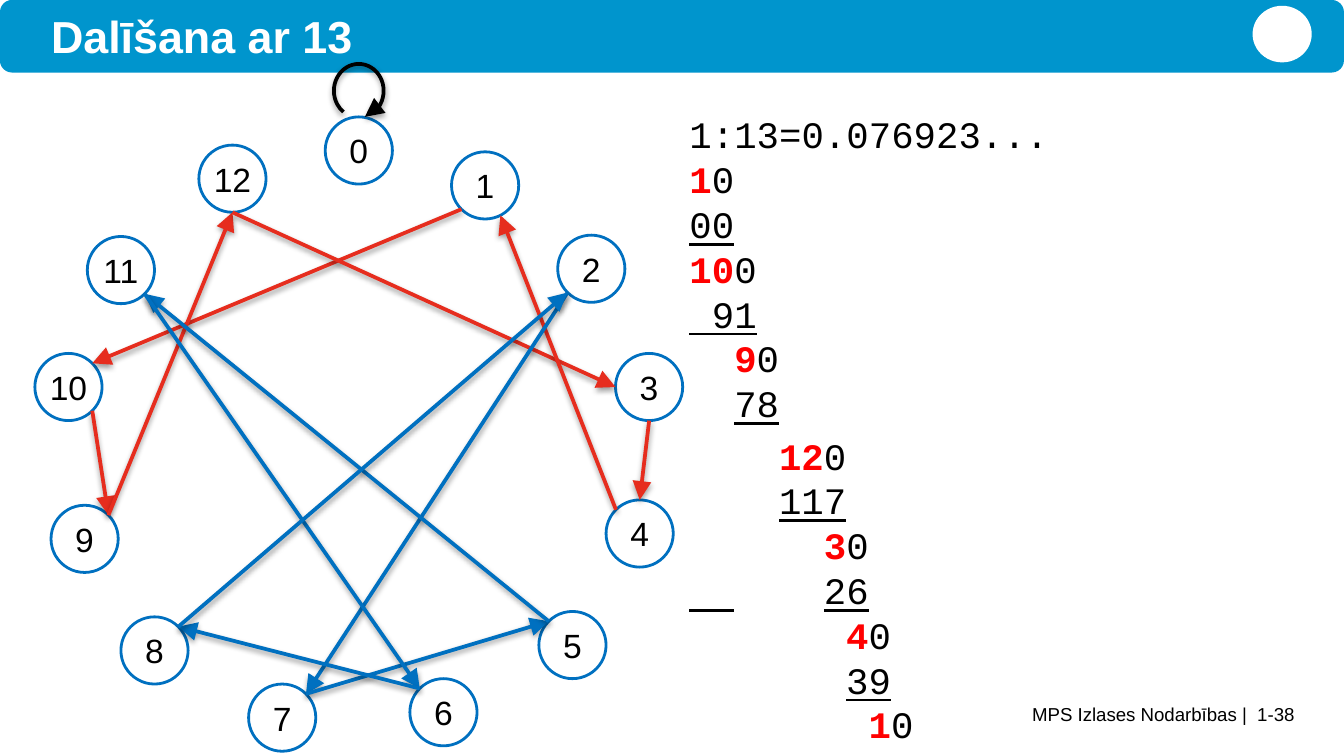
from dataclasses import dataclass
from math import cos, radians, sin

from lxml import etree
from pptx import Presentation
from pptx.dml.color import RGBColor
from pptx.enum.shapes import MSO_CONNECTOR, MSO_SHAPE
from pptx.enum.text import MSO_ANCHOR, PP_ALIGN
from pptx.oxml.ns import qn
from pptx.util import Inches, Pt

STRAIGHT = MSO_CONNECTOR.STRAIGHT
ARC, OVAL, ROUNDED = MSO_SHAPE.ARC, MSO_SHAPE.OVAL, MSO_SHAPE.ROUNDED_RECTANGLE
TOP, MIDDLE = MSO_ANCHOR.TOP, MSO_ANCHOR.MIDDLE
LEFT, CENTER, RIGHT = PP_ALIGN.LEFT, PP_ALIGN.CENTER, PP_ALIGN.RIGHT

BLACK, WHITE, HEADER_BLUE = "000000", "FFFFFF", "0095CD"
BLUE, CYCLE_RED, DIGIT_RED = "0070C0", "E62D1E", "FF0000"
SANS, MONO = "Arial", "Courier New"

DIGIT_SIZE = 20
COLUMN_POINTS = 12  # width of one monospaced character

# Node centres, in percent of the diagram box, for remainders 0 to 12
NODE_CENTRES = [
    (48.4, 12.4), (67.2, 17.6), (83, 30), (91.6, 47.6), (90.2, 69.4),
    (80.2, 86), (61, 96), (37, 96.8), (18, 86.8), (7.6, 70.2),
    (5.2, 47.6), (13, 30.2), (29.6, 16.6),
]
NODE_RADIUS = 5

# Angles on a node's rim, clockwise from the right
LOWER_RIGHT, BOTTOM, LOWER_LEFT, MIDDLE_LEFT = 45, 90, 135, 180
UPPER_LEFT, UPPER, UPPER_RIGHT = 225, 270, 315

# Each arrow: from node, angle, to node, angle
RED_CYCLE = [
    (1, LOWER_LEFT, 10, UPPER_RIGHT), (10, LOWER_RIGHT, 9, UPPER_RIGHT),
    (9, UPPER_RIGHT, 12, BOTTOM), (12, BOTTOM, 3, MIDDLE_LEFT),
    (3, BOTTOM, 4, UPPER), (4, UPPER_LEFT, 1, 63),
]
BLUE_CYCLE = [
    (2, LOWER_LEFT, 7, UPPER_RIGHT), (7, UPPER_RIGHT, 5, UPPER_LEFT),
    (5, UPPER_LEFT, 11, LOWER_RIGHT), (11, LOWER_RIGHT, 6, UPPER_LEFT),
    (6, UPPER_LEFT, 8, UPPER_RIGHT), (8, UPPER_RIGHT, 2, LOWER_LEFT),
]

PLAIN, REMAINDER, UNDERLINED, GAP = "plain", "remainder", "underlined", "gap"
GAP_COLUMNS = 4
# Each line: start column, runs
DIVISION_LINES = [
    (0, [("1:13=0.076923...", PLAIN)]),
    (0, [("1", REMAINDER), ("0", PLAIN)]),
    (0, [("00", UNDERLINED)]),
    (0, [("10", REMAINDER), ("0", PLAIN)]),
    (0, [(" 91", UNDERLINED)]),
    (2, [("9", REMAINDER), ("0", PLAIN)]),
    (2, [("78", UNDERLINED)]),
    (4, [("12", REMAINDER), ("0", PLAIN)]),
    (4, [("117", UNDERLINED)]),
    (6, [("3", REMAINDER), ("0", PLAIN)]),
    (0, [("  ", UNDERLINED), (" ", GAP), ("26", UNDERLINED)]),
    (7, [("4", REMAINDER), ("0", PLAIN)]),
    (7, [("39", UNDERLINED)]),
    (8, [("1", REMAINDER), ("0", PLAIN)]),
]
SPACE_BEFORE = {0: 2.5, 7: 4}  # points, by line number


@dataclass
class Box:
    left: float
    top: float
    width: float
    height: float

    def point(self, x, y):
        """Turn percentages of the box into slide coordinates."""
        return (Inches(self.left + self.width * x / 100),
                Inches(self.top + self.height * y / 100))

    def frame(self, x, y, width, height):
        return (*self.point(x, y), Inches(self.width * width / 100),
                Inches(self.height * height / 100))


def color(hex_string):
    return RGBColor.from_string(hex_string)


def style_run(run, font, size, hex_string, bold=False):
    run.font.name, run.font.size, run.font.bold = font, Pt(size), bold
    run.font.color.rgb = color(hex_string)


def add_shape(slide, kind, frame, fill=None, line=None, width=1.5):
    shape = slide.shapes.add_shape(kind, *frame)
    shape.shadow.inherit = False
    if fill:
        shape.fill.solid()
        shape.fill.fore_color.rgb = color(fill)
    else:
        shape.fill.background()
    if line:
        shape.line.color.rgb = color(line)
        shape.line.width = Pt(width)
    else:
        shape.line.fill.background()
    return shape


def prepare_text_frame(shape, anchor):
    frame = shape.text_frame
    frame.margin_left = frame.margin_right = 0
    frame.margin_top = frame.margin_bottom = 0
    frame.word_wrap, frame.vertical_anchor = True, anchor
    return frame


def set_label(shape, text, size, hex_string, align, anchor, bold=False):
    paragraph = prepare_text_frame(shape, anchor).paragraphs[0]
    paragraph.text, paragraph.alignment = text, align
    style_run(paragraph.runs[0], SANS, size, hex_string, bold)


def add_arrowhead_and_shadow(shape):
    etree.SubElement(shape.line._get_or_add_ln(), qn("a:tailEnd"),
                     type="triangle", w="lg", len="lg")
    properties = shape._element.spPr
    effects = properties.find(qn("a:effectLst"))
    if effects is None:
        effects = etree.SubElement(properties, qn("a:effectLst"))
    shadow = etree.SubElement(effects, qn("a:outerShdw"), blurRad=str(Pt(3.1)),
                              dist=str(Pt(1.6)), dir="5400000", rotWithShape="0")
    shade = etree.SubElement(shadow, qn("a:srgbClr"), val=BLACK)
    etree.SubElement(shade, qn("a:alpha"), val="38000")


def add_header(slide, box):
    add_shape(slide, ROUNDED, box.frame(0, 0, 100, 100), fill=HEADER_BLUE)
    add_shape(slide, OVAL, box.frame(93.2, 8, 4.4, 78), fill=WHITE)
    title = slide.shapes.add_textbox(*box.frame(3.8, 10, 82.7, 78))
    set_label(title, "Dalīšana ar 13", 24, WHITE, LEFT, MIDDLE, bold=True)


def add_footer(slide, box):
    footer = slide.shapes.add_textbox(*box.frame(0, 0, 100, 100))
    set_label(footer, "MPS Izlases Nodarbības |  1-38", 10, BLACK, RIGHT, TOP)


def rim_point(box, node, angle):
    x, y = NODE_CENTRES[node]
    return box.point(x + NODE_RADIUS * cos(radians(angle)),
                     y + NODE_RADIUS * sin(radians(angle)))


def add_cycle(slide, box, arrows, hex_string):
    for start, start_angle, end, end_angle in arrows:
        arrow = slide.shapes.add_connector(
            STRAIGHT, *rim_point(box, start, start_angle), *rim_point(box, end, end_angle))
        arrow.line.color.rgb = color(hex_string)
        arrow.line.width = Pt(2)
        add_arrowhead_and_shadow(arrow)


def add_remainder_graph(slide, box):
    diameter = 2 * NODE_RADIUS
    for number, (x, y) in enumerate(NODE_CENTRES):
        frame = box.frame(x - NODE_RADIUS, y - NODE_RADIUS, diameter, diameter)
        node = add_shape(slide, OVAL, frame, line=BLUE)
        set_label(node, str(number), 18, BLACK, CENTER, MIDDLE)
    add_cycle(slide, box, RED_CYCLE, CYCLE_RED)
    loop = add_shape(slide, ARC, box.frame(44.4, -0.2, 8, 7.4), line=BLACK, width=2)
    loop.rotation = 270
    loop.adjustments[0], loop.adjustments[1] = 129.62, 100.08
    add_arrowhead_and_shadow(loop)
    add_cycle(slide, box, BLUE_CYCLE, BLUE)


def add_long_division(slide, box):
    frame = prepare_text_frame(slide.shapes.add_textbox(*box.frame(0, 0, 100, 100)), TOP)
    for number, (column, runs) in enumerate(DIVISION_LINES):
        paragraph = frame.add_paragraph() if number else frame.paragraphs[0]
        paragraph.line_spacing = Pt(24)
        paragraph.space_before = Pt(SPACE_BEFORE.get(number, 0))
        properties = paragraph._p.get_or_add_pPr()
        properties.set("marL", str(Pt(column * COLUMN_POINTS)))
        properties.set("indent", "0")
        for text, style in runs:
            run = paragraph.add_run()
            run.text = text
            marked = style == REMAINDER
            style_run(run, MONO, DIGIT_SIZE, DIGIT_RED if marked else BLACK, marked)
            run.font.underline = style == UNDERLINED
            if style == GAP:  # letter spacing, in hundredths of a point
                spacing = (GAP_COLUMNS - 1) * COLUMN_POINTS * 100
                run._r.get_or_add_rPr().set("spc", str(spacing))


def main():
    presentation = Presentation()
    presentation.slide_width, presentation.slide_height = Inches(10), Pt(405)
    slide = presentation.slides.add_slide(presentation.slide_layouts[6])
    add_footer(slide, Box(2.41, 5.23, 7.22, 0.33))
    add_header(slide, Box(0, 0, 10, 0.54))
    add_remainder_graph(slide, Box(0.25, 0.5, 5, 5))
    add_long_division(slide, Box(5.13, 0.83, 4.49, 4.61))
    presentation.save("out.pptx")


if __name__ == "__main__":
    main()
